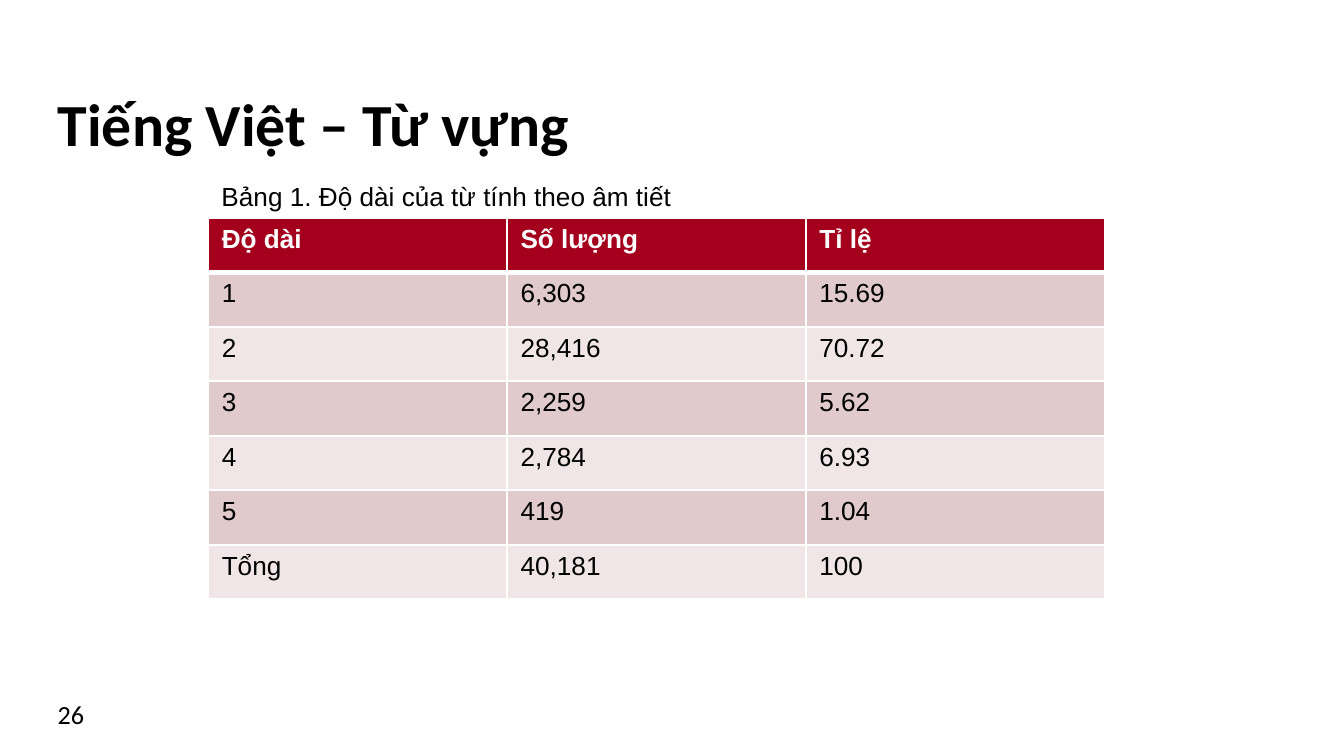
from dataclasses import dataclass

from lxml.etree import SubElement
from pptx import Presentation
from pptx.dml.color import RGBColor
from pptx.enum.text import MSO_ANCHOR, PP_ALIGN
from pptx.oxml.ns import qn
from pptx.slide import Slide
from pptx.table import _Cell
from pptx.text.text import TextFrame
from pptx.util import Inches, Pt

BLACK, WHITE = "000000", "FFFFFF"
HEADER_FILL = "A4001D"
BAND_FILLS = ("E0CACB", "F0E6E7")


@dataclass(frozen=True)
class Box:
    left: float
    top: float
    width: float
    height: float

    def lengths(self) -> tuple[Inches, Inches, Inches, Inches]:
        return Inches(self.left), Inches(self.top), Inches(self.width), Inches(self.height)


@dataclass(frozen=True)
class WordLength:
    label: str
    count: str
    share: str

    def texts(self) -> tuple[str, str, str]:
        return self.label, self.count, self.share


HEADER = WordLength("Độ dài", "Số lượng", "Tỉ lệ")
WORD_LENGTHS = (
    WordLength("1", "6,303", "15.69"),
    WordLength("2", "28,416", "70.72"),
    WordLength("3", "2,259", "5.62"),
    WordLength("4", "2,784", "6.93"),
    WordLength("5", "419", "1.04"),
    WordLength("Tổng", "40,181", "100"),
)


def color(value: str) -> RGBColor:
    return RGBColor.from_string(value)


def write_text(frame: TextFrame, text: str, *, size: float = 14, font: str = "Arial",
               fill: str = BLACK, bold: bool = False) -> None:
    paragraph = frame.paragraphs[0]
    paragraph.alignment = PP_ALIGN.LEFT
    run = paragraph.add_run()
    run.text = text
    run.font.size = Pt(size)
    run.font.name = font
    run.font.bold = bold
    run.font.color.rgb = color(fill)


def add_title(slide: Slide, box: Box, text: str) -> None:
    title = slide.shapes.title
    title.left, title.top, title.width, title.height = box.lengths()
    title.text_frame.vertical_anchor = MSO_ANCHOR.BOTTOM
    write_text(title.text_frame, text, size=32, font="Calibri", bold=True)


def add_label(slide: Slide, box: Box, text: str, font: str, wrap: bool = True) -> None:
    frame = slide.shapes.add_textbox(*box.lengths()).text_frame
    frame.word_wrap = wrap
    write_text(frame, text, font=font)


def set_borders(cell: _Cell, top: float, bottom: float) -> None:
    properties = cell._tc.get_or_add_tcPr()
    for side, width in (("L", 1), ("R", 1), ("T", top), ("B", bottom)):
        line = SubElement(properties, qn(f"a:ln{side}"), w=str(Pt(width)))
        SubElement(SubElement(line, qn("a:solidFill")), qn("a:srgbClr"), val=WHITE)


def add_word_table(slide: Slide, box: Box) -> None:
    rows = (HEADER, *WORD_LENGTHS)
    table = slide.shapes.add_table(len(rows), len(HEADER.texts()), *box.lengths()).table
    for row_index, row in enumerate(rows):
        is_header = row_index == 0
        fill = HEADER_FILL if is_header else BAND_FILLS[(row_index - 1) % 2]
        for column_index, text in enumerate(row.texts()):
            cell = table.cell(row_index, column_index)
            set_borders(cell, top=3 if row_index == 1 else 1, bottom=3 if is_header else 1)
            cell.fill.solid()
            cell.fill.fore_color.rgb = color(fill)
            write_text(cell.text_frame, text, fill=WHITE if is_header else BLACK, bold=is_header)


def main() -> None:
    """Build the Vietnamese vocabulary slide with its word-length table."""
    presentation = Presentation()
    presentation.slide_width = Inches(10)
    presentation.slide_height = Inches(10 * 9 / 16)
    slide = presentation.slides.add_slide(presentation.slide_layouts[5])
    add_title(slide, Box(0.33, 0.42, 9.33, 0.81), "Tiếng Việt – Từ vựng")
    add_label(slide, Box(0.33, 5.15, 2.17, 0.38), "26", "Calibri")
    add_word_table(slide, Box(1.55, 1.62, 6.67, 2.84))
    add_label(slide, Box(1.55, 1.29, 3.56, 0.34),
              "Bảng 1. Độ dài của từ tính theo âm tiết", "Arial", wrap=False)
    presentation.save("out.pptx")


if __name__ == "__main__":
    main()
